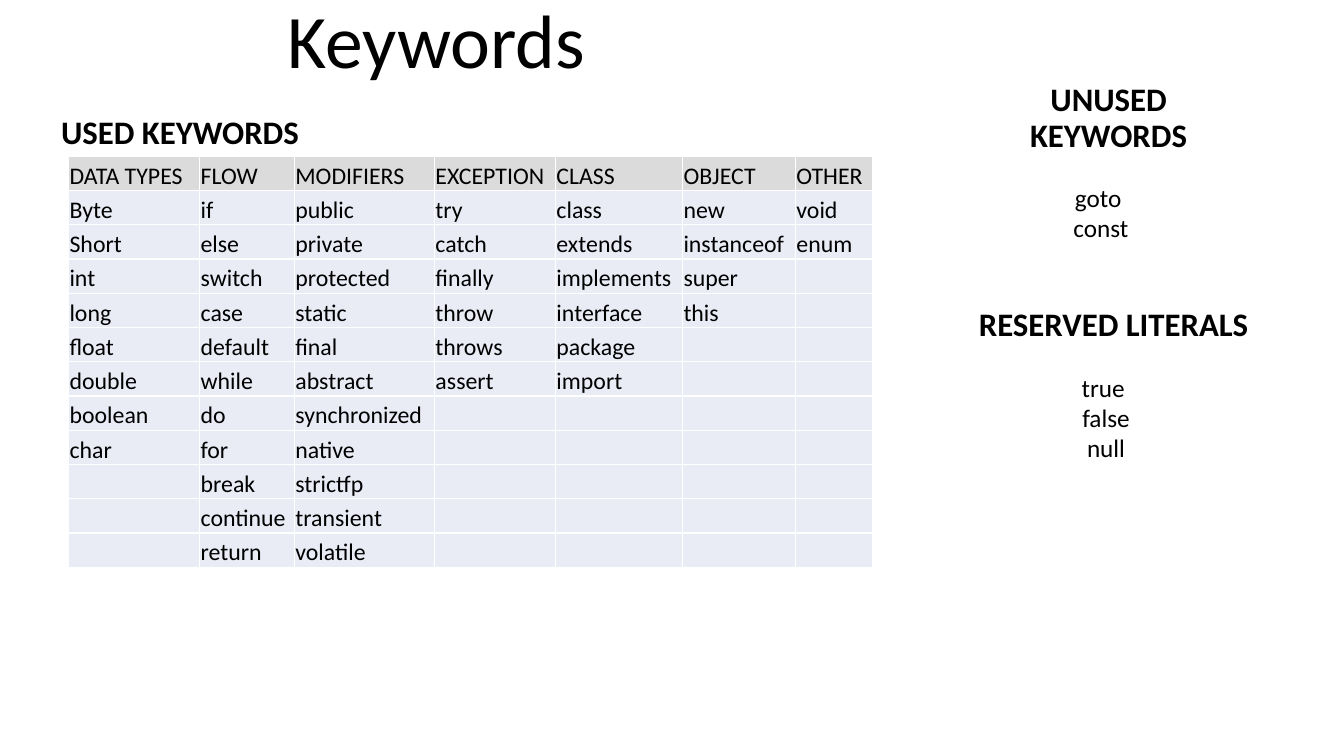
from itertools import zip_longest

from lxml.etree import SubElement
from pptx import Presentation
from pptx.dml.color import RGBColor
from pptx.enum.text import MSO_ANCHOR as Anchor, MSO_AUTO_SIZE as AutoSize, PP_ALIGN as Align
from pptx.oxml.ns import qn
from pptx.util import Emu, Pt

PX = 9144  # 100 px to the inch
BLACK = RGBColor(0x00, 0x00, 0x00)
WHITE = RGBColor(0xFF, 0xFF, 0xFF)
HEADER_GREY = RGBColor(0xDB, 0xDB, 0xDB)
BODY_BLUE = RGBColor(0xE9, 0xEB, 0xF5)

ROW_HEIGHT = 34
# heading, column width, keywords
KEYWORD_GROUPS = [
    ("DATA TYPES", 130, "Byte Short int long float double boolean char"),
    ("FLOW", 94, "if else switch case default while do for break continue return"),
    ("MODIFIERS", 139, "public private protected static final abstract synchronized "
                       "native strictfp transient volatile"),
    ("EXCEPTION", 120, "try catch finally throw throws assert"),
    ("CLASS", 126, "class extends implements interface package import"),
    ("OBJECT", 112, "new instanceof super this"),
    ("OTHER", 77, "void enum"),
]


def px(*lengths):
    return [Emu(length * PX) for length in lengths]


def write(frame, lines, size, bold=False, align=Align.LEFT, anchor=Anchor.TOP,
          spacing=None, auto_size=AutoSize.NONE):
    frame.word_wrap = True
    frame.auto_size = auto_size
    frame.vertical_anchor = anchor
    for index, line in enumerate(lines):
        paragraph = frame.paragraphs[0] if index == 0 else frame.add_paragraph()
        paragraph.alignment = align
        paragraph.line_spacing = spacing
        run = paragraph.add_run()
        run.text = line
        run.font.name = "Calibri"
        run.font.size = Pt(size)
        run.font.bold = bold
        run.font.color.rgb = BLACK


def add_title(slide, left, top, width, height):
    title = slide.shapes.title
    title.left, title.top, title.width, title.height = px(left, top, width, height)
    write(title.text_frame, ["Keywords"], 54, align=Align.CENTER,
          anchor=Anchor.BOTTOM, spacing=0.9)


def add_heading(slide, heading, left, top):
    box = slide.shapes.add_textbox(*px(left, top, 291, 73))
    write(box.text_frame, [heading], 23.4, bold=True, align=Align.CENTER,
          anchor=Anchor.BOTTOM, spacing=0.9)


def add_word_list(slide, heading, words, left, top):
    """Place a heading with its centred words below it."""
    add_heading(slide, heading, left, top)
    box = slide.shapes.add_textbox(*px(left - 55, top + 91, 386, 10 + 30 * len(words)))
    write(box.text_frame, words, 18, align=Align.CENTER,
          auto_size=AutoSize.SHAPE_TO_FIT_TEXT)


def add_borders(cell):
    properties = cell._tc.get_or_add_tcPr()
    for side in ("a:lnL", "a:lnR", "a:lnT", "a:lnB"):
        line = SubElement(properties, qn(side), w=str(Pt(1)))
        fill = SubElement(line, qn("a:solidFill"))
        SubElement(fill, qn("a:srgbClr"), val=str(WHITE))


def format_cell(cell, word, fill):
    cell.margin_left, cell.margin_top, cell.margin_right, cell.margin_bottom = px(1, 1, 1, 0)
    cell.vertical_anchor = Anchor.BOTTOM
    add_borders(cell)
    cell.fill.solid()
    cell.fill.fore_color.rgb = fill
    if word:
        run = cell.text_frame.paragraphs[0].add_run()
        run.text = word
        run.font.name = "Calibri"
        run.font.size = Pt(17)
        run.font.color.rgb = BLACK


def add_keyword_table(slide, left, top):
    headings, widths, keywords = zip(*KEYWORD_GROUPS)
    rows = [headings, *zip_longest(*(words.split() for words in keywords), fillvalue="")]
    frame = slide.shapes.add_table(
        len(rows), len(widths), *px(left, top, sum(widths), ROW_HEIGHT * len(rows)))
    table = frame.table
    table.first_row = table.horz_banding = False
    for column, width in zip(table.columns, px(*widths)):
        column.width = width
    for row_index, words in enumerate(rows):
        fill = BODY_BLUE if row_index else HEADER_GREY
        for column_index, word in enumerate(words):
            format_cell(table.cell(row_index, column_index), word, fill)


def main():
    presentation = Presentation()
    presentation.slide_width, presentation.slide_height = px(1333, 750)
    slide = presentation.slides.add_slide(presentation.slide_layouts[5])
    add_title(slide, 107, 16, 652, 73)
    add_keyword_table(slide, 68, 155)
    add_heading(slide, "USED KEYWORDS", 33, 82)
    add_word_list(slide, "UNUSED KEYWORDS", ["goto ", "const"], 954, 85)
    add_word_list(slide, "RESERVED LITERALS", ["true ", "false", "null"], 959, 273)
    presentation.save("out.pptx")


if __name__ == "__main__":
    main()
